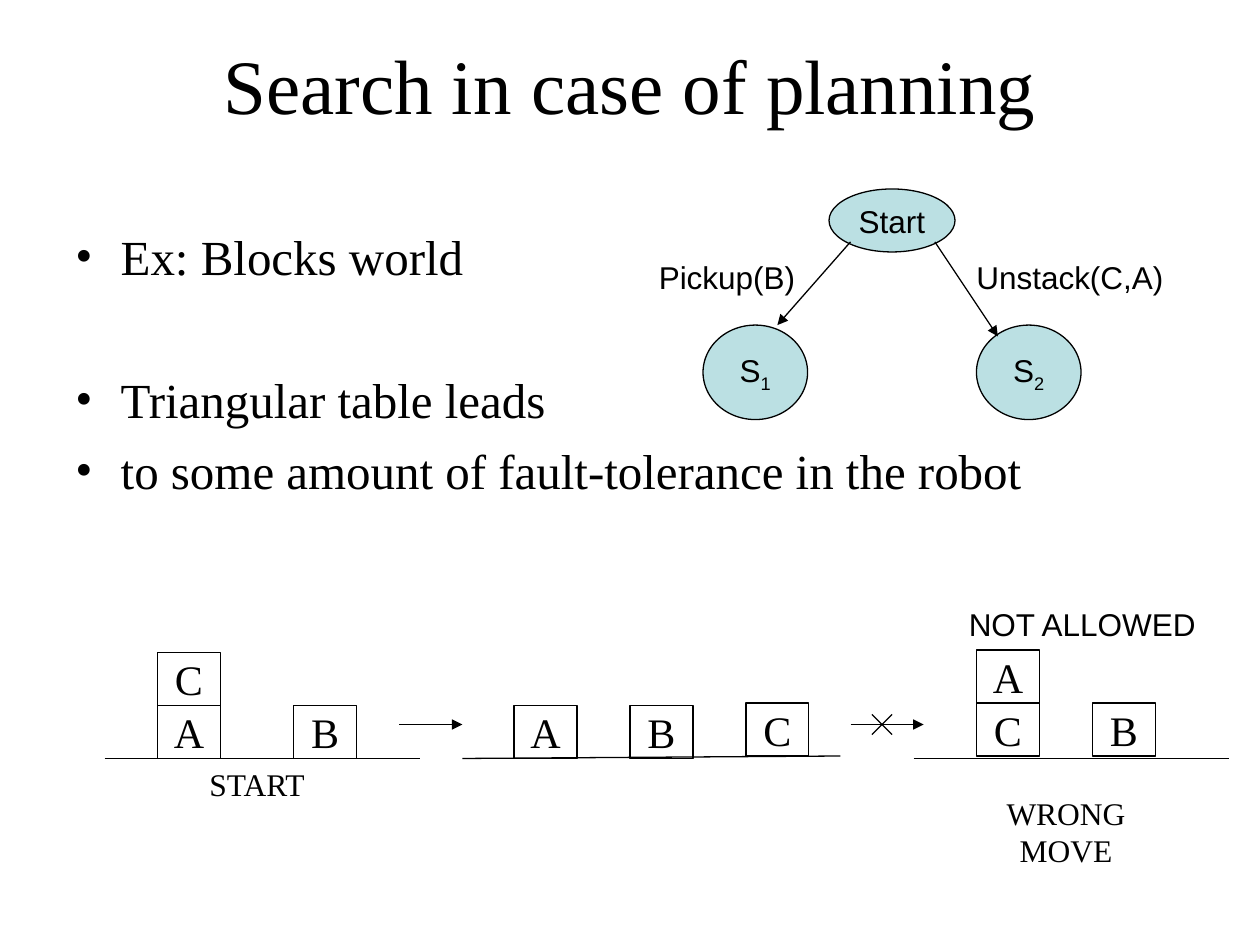
from dataclasses import dataclass

from lxml.etree import SubElement
from pptx import Presentation
from pptx.dml.color import RGBColor
from pptx.enum.shapes import MSO_CONNECTOR, MSO_SHAPE
from pptx.enum.text import MSO_ANCHOR, MSO_AUTO_SIZE, PP_ALIGN
from pptx.oxml.ns import qn
from pptx.slide import Slide
from pptx.util import Inches, Pt

BLACK = "000000"
NODE_FILL = "BBE0E3"
SERIF = "Times New Roman"
SANS = "Arial"
BLOCK_WIDTH, BLOCK_HEIGHT = 0.5, 0.42


@dataclass
class Label:
    """A text box."""
    text: str
    left: float
    top: float
    width: float
    height: float
    size: int = 18
    font: str = SANS
    align: PP_ALIGN = PP_ALIGN.LEFT
    anchor: MSO_ANCHOR = MSO_ANCHOR.TOP
    wrap: bool = False


@dataclass
class Node:
    """A state of the search tree."""
    text: str
    left: float
    top: float
    width: float = 0.83
    height: float = 0.75
    subscript: str = ""


@dataclass
class Stack:
    """Blocks named from the bottom up."""
    names: str
    left: float
    bottom: float


@dataclass
class Line:
    """A straight line, with an arrowhead at its end if wanted."""
    start: tuple[float, float]
    end: tuple[float, float]
    arrow: bool = False


@dataclass
class Bullet:
    """A bulleted line with the space above it in points."""
    text: str
    space_before: float = 7


LABELS = [
    Label("Search in case of planning", 0.5, 0.3, 9, 0.73, 44, SERIF,
          PP_ALIGN.CENTER, MSO_ANCHOR.MIDDLE, wrap=True),
    Label("Pickup(B)", 5.13, 2, 1.35, 0.4),
    Label("Unstack(C,A)", 7.65, 2, 1.75, 0.4),
    Label("START", 1.33, 6.02, 1.42, 0.4, font=SERIF, align=PP_ALIGN.CENTER, wrap=True),
    Label("WRONG MOVE", 7.75, 6.25, 1.42, 0.7, font=SERIF, align=PP_ALIGN.CENTER, wrap=True),
    Label("NOT ALLOWED", 7.59, 4.75, 2.08, 0.4),
]
BULLETS = [
    Bullet("Ex: Blocks world"),
    Bullet("Triangular table leads", 48),
    Bullet("to some amount of fault-tolerance in the robot"),
]
NODES = [
    Node("Start", 6.58, 1.5, 1, 0.5),
    Node("S", 5.58, 2.58, subscript="1"),
    Node("S", 7.75, 2.58, subscript="2"),
]
STACKS = [
    Stack("AC", 1.25, 6.02), Stack("B", 2.33, 6.02),
    Stack("A", 4.08, 6.02), Stack("B", 5, 6.02), Stack("C", 5.92, 6),
    Stack("CA", 7.75, 6), Stack("B", 8.67, 6),
]
LINES = [
    Line((6.75, 1.92), (6.17, 2.58), arrow=True),
    Line((7.42, 1.92), (7.92, 2.67), arrow=True),
    Line((0.83, 6.02), (3.33, 6.02)),
    Line((3.67, 6.02), (6.67, 6)),
    Line((7.25, 6.02), (9.75, 6.02)),
    Line((3.17, 5.75), (3.67, 5.75), arrow=True),
    Line((6.75, 5.75), (7.33, 5.75), arrow=True),
    Line((6.92, 5.67), (7.08, 5.83)),
    Line((7.08, 5.67), (6.92, 5.83)),
]


def color(value: str) -> RGBColor:
    """Turn a hex string into a colour."""
    return RGBColor.from_string(value)


def apply(target, values: dict) -> None:
    """Set each named attribute on the target."""
    for name, value in values.items():
        setattr(target, name, value)


def add_span(para, text: str, size: int, font: str):
    """Add a run of black text."""
    span = para.add_run()
    span.text = text
    apply(span.font, {"size": Pt(size), "name": font})
    span.font.color.rgb = color(BLACK)
    return span


def add_label(page: Slide, label: Label) -> None:
    """Draw a text box."""
    lengths = map(Inches, (label.left, label.top, label.width, label.height))
    frame = page.shapes.add_textbox(*lengths).text_frame
    apply(frame, {"word_wrap": label.wrap, "vertical_anchor": label.anchor,
                  "auto_size": MSO_AUTO_SIZE.NONE})
    para = frame.paragraphs[0]
    para.alignment = label.align
    add_span(para, label.text, label.size, label.font)


def add_bullets(page: Slide, bullets: list[Bullet]) -> None:
    """Draw the bulleted list."""
    box = page.shapes.add_textbox(Inches(0.5), Inches(1.75), Inches(9), Inches(4.92))
    frame = box.text_frame
    frame.word_wrap = True
    for index, bullet in enumerate(bullets):
        para = frame.add_paragraph() if index else frame.paragraphs[0]
        para.space_before = Pt(bullet.space_before)
        add_span(para, bullet.text, 28, SERIF)
        properties = para._p.get_or_add_pPr()
        properties.set("marL", str(Inches(0.36)))
        properties.set("indent", str(-Inches(0.36)))
        SubElement(properties, qn("a:buFont")).set("typeface", SERIF)
        SubElement(properties, qn("a:buChar")).set("char", "•")


def add_outlined(page: Slide, kind: MSO_SHAPE, left: float, top: float,
                 width: float, height: float, fill: str | None = None):
    """Draw an outlined shape and return its centred paragraph."""
    shape = page.shapes.add_shape(kind, *map(Inches, (left, top, width, height)))
    shape.shadow.inherit = False
    if fill:
        shape.fill.solid()
        shape.fill.fore_color.rgb = color(fill)
    else:
        shape.fill.background()
    shape.line.color.rgb = color(BLACK)
    shape.line.width = Pt(0.75)
    apply(shape.text_frame, {"word_wrap": False, "vertical_anchor": MSO_ANCHOR.MIDDLE})
    para = shape.text_frame.paragraphs[0]
    para.alignment = PP_ALIGN.CENTER
    return para


def add_node(page: Slide, node: Node) -> None:
    """Draw a search state with its subscript."""
    para = add_outlined(page, MSO_SHAPE.OVAL, node.left, node.top,
                        node.width, node.height, NODE_FILL)
    add_span(para, node.text, 18, SANS)
    if node.subscript:
        span = add_span(para, node.subscript, 18, SANS)
        span._r.get_or_add_rPr().set("baseline", "-25000")


def add_stack(page: Slide, stack: Stack) -> None:
    """Draw a stack of lettered blocks."""
    for level, name in enumerate(stack.names, start=1):
        para = add_outlined(page, MSO_SHAPE.RECTANGLE, stack.left,
                            stack.bottom - level * BLOCK_HEIGHT, BLOCK_WIDTH, BLOCK_HEIGHT)
        add_span(para, name, 24, SERIF)


def add_line(page: Slide, line: Line) -> None:
    """Draw a line or an arrow."""
    lengths = map(Inches, (*line.start, *line.end))
    connector = page.shapes.add_connector(MSO_CONNECTOR.STRAIGHT, *lengths)
    connector.line.color.rgb = color(BLACK)
    connector.line.width = Pt(0.75)
    if line.arrow:
        SubElement(connector.line._get_or_add_ln(), qn("a:tailEnd")).set("type", "triangle")
    SubElement(connector._element.spPr, qn("a:effectLst"))


def main() -> None:
    """Build the slide and save it."""
    deck = Presentation()
    apply(deck, {"slide_width": Inches(10), "slide_height": Inches(7.5)})
    page = deck.slides.add_slide(deck.slide_layouts[6])
    add_bullets(page, BULLETS)
    for draw, items in ((add_label, LABELS), (add_node, NODES),
                        (add_stack, STACKS), (add_line, LINES)):
        for item in items:
            draw(page, item)
    deck.save("out.pptx")


if __name__ == "__main__":
    main()
